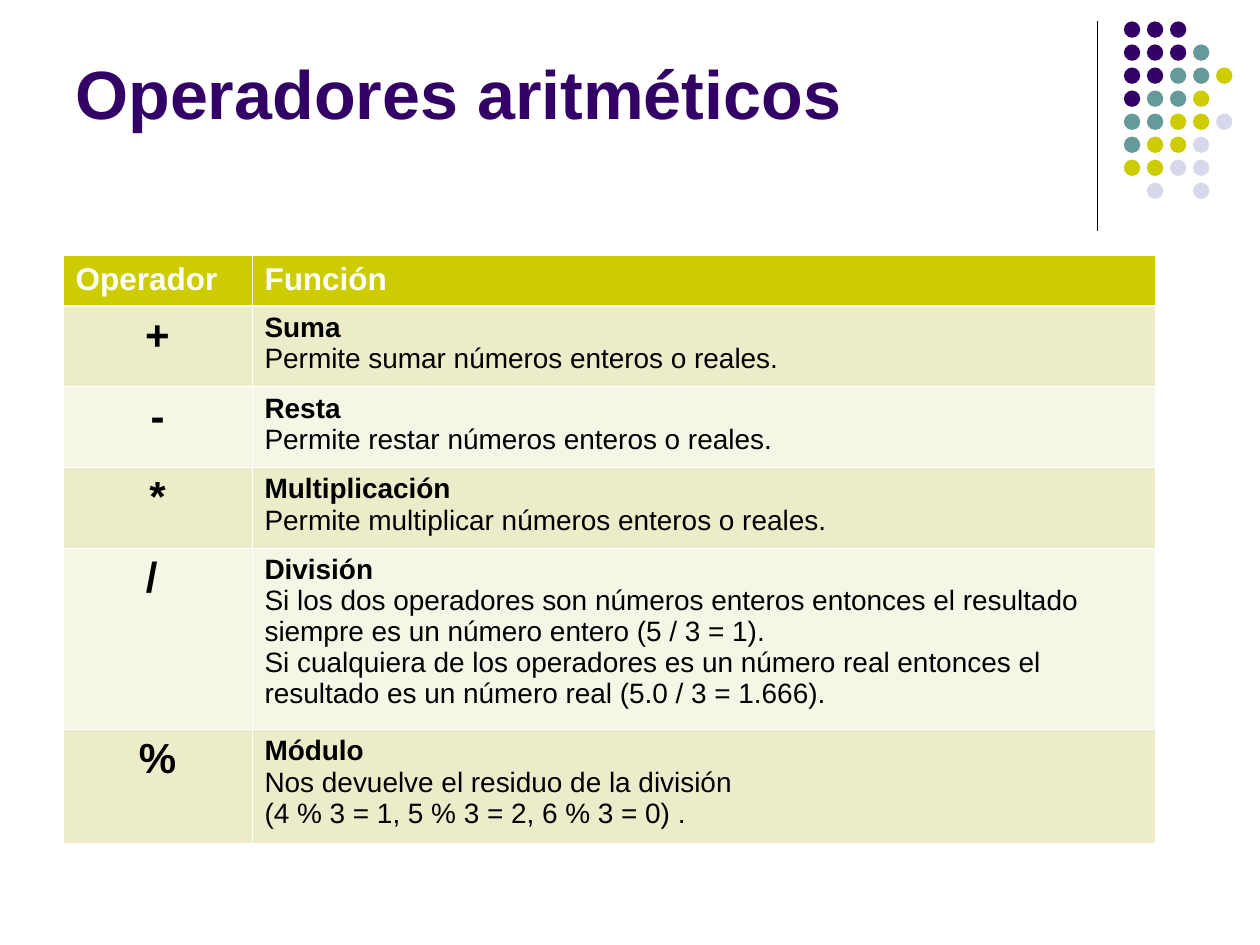
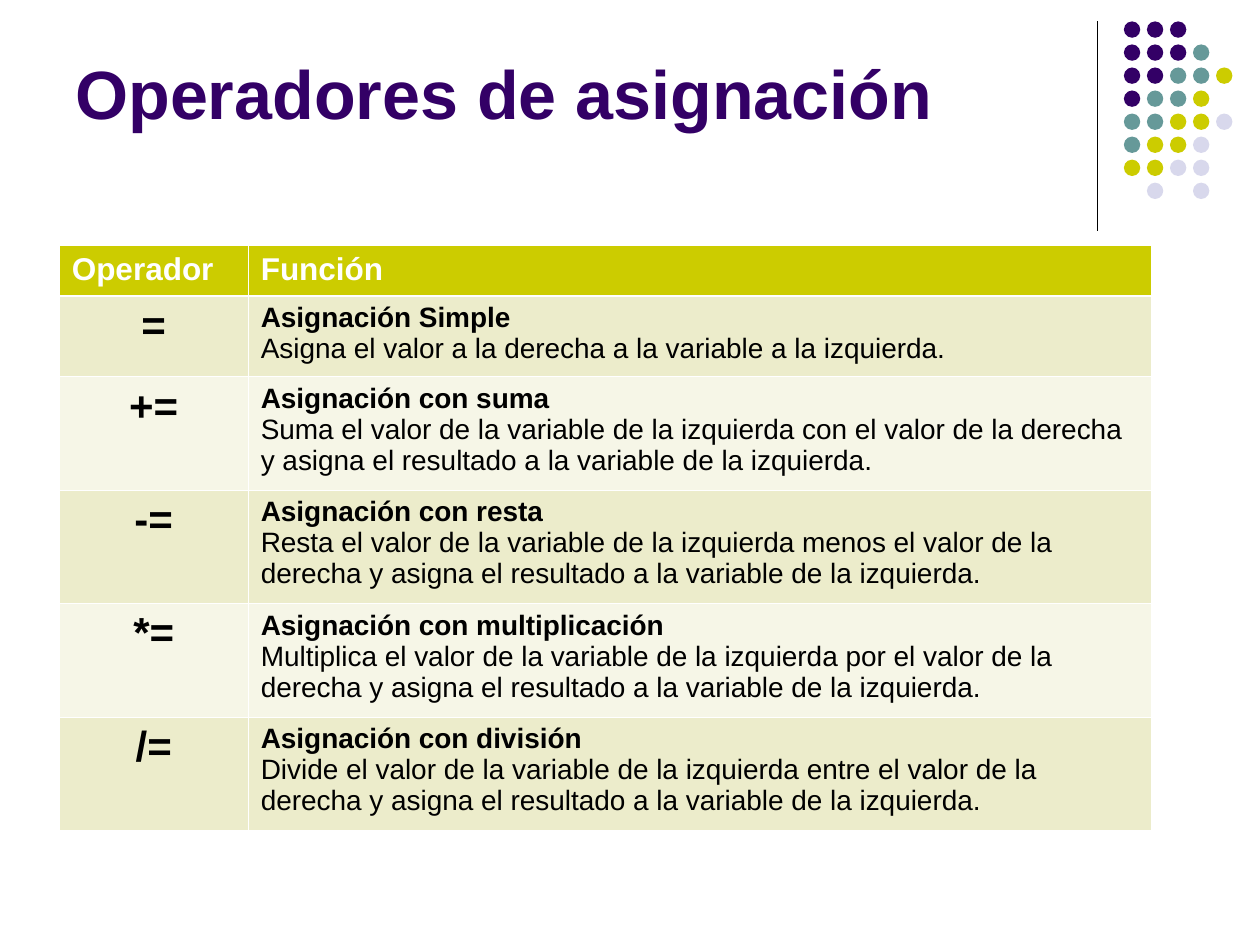
from dataclasses import dataclass

from lxml import etree
from pptx import Presentation
from pptx import util as u
from pptx.dml.color import RGBColor
from pptx.enum import shapes, text
from pptx.oxml import ns

COLORS = {
    "purple": "330066",
    "teal": "669999",
    "olive": "CCCC00",
    "lavender": "D8D8EC",
    "band_dark": "ECECCB",
    "band_light": "F6F6E7",
    "white": "FFFFFF",
    "black": "000000",
}
FONT = "Arial"

# One letter per dot, a full stop for a gap.
DOT_COLORS = {"p": "purple", "t": "teal", "o": "olive", "l": "lavender"}
DOT_ROWS = ["ppp..", "pppt.", "pptto", "ptto.", "ttool", "tool.", "ooll.", ".l.l."]
DOT_LEFT, DOT_TOP, DOT_SIZE = 8.92, 0.17, 0.13
DOT_PITCH = 1.28 / 7

HEADINGS = ("Operador", "Función")
COLUMN_WIDTHS = (1.5, 7.17)
HEADING_HEIGHT = 0.4
THIN, THICK = 0.45, 1.47


@dataclass(frozen=True)
class Operator:
    symbol: str
    name: str
    details: tuple[str, ...]
    height: float = 0.9


@dataclass(frozen=True)
class OperatorSlide:
    title: str
    table_left: float
    table_top: float
    operators: tuple[Operator, ...]


SLIDES = (
    OperatorSlide("Operadores aritméticos", 0.5, 2.03, (
        Operator("+", "Suma", ("Permite sumar números enteros o reales.",), 0.64),
        Operator("-", "Resta", ("Permite restar números enteros o reales.",), 0.64),
        Operator("*", "Multiplicación",
                 ("Permite multiplicar números enteros o reales.",), 0.64),
        Operator("/ ", "División", (
            "Si los dos operadores son números enteros entonces el resultado "
            "siempre es un número entero (5 / 3 = 1).",
            "Si cualquiera de los operadores es un número real entonces el "
            "resultado es un número real (5.0 / 3 = 1.666).",
        ), 1.44),
        Operator("%", "Módulo", (
            "Nos devuelve el residuo de la división",
            "(4 % 3 = 1, 5 % 3 = 2, 6 % 3 = 0) .",
        )),
    )),
    OperatorSlide("Operadores de asignación", 0.47, 1.95, (
        Operator("=", "Asignación Simple",
                 ("Asigna el valor a la derecha a la variable a la izquierda.",), 0.64),
        Operator("+=", "Asignación con suma", (
            "Suma el valor de la variable de la izquierda con el valor de la derecha "
            "y asigna el resultado a la variable de la izquierda.",)),
        Operator("-=", "Asignación con resta", (
            "Resta el valor de la variable de la izquierda menos el valor de la "
            "derecha y asigna el resultado a la variable de la izquierda.",)),
        Operator("*=", "Asignación con multiplicación", (
            "Multiplica el valor de la variable de la izquierda por el valor de la "
            "derecha y asigna el resultado a la variable de la izquierda.",)),
        Operator("/=", "Asignación con división", (
            "Divide el valor de la variable de la izquierda entre el valor de la "
            "derecha y asigna el resultado a la variable de la izquierda.",)),
    )),
)


def rgb(color: str) -> RGBColor:
    return RGBColor.from_string(COLORS[color])


def format_runs(paragraph, size: float, color: str, bold: bool = True) -> None:
    for run in paragraph.runs:
        run.font.name = FONT
        run.font.size = u.Pt(size)
        run.font.bold = bold
        run.font.color.rgb = rgb(color)


def add_divider(slide) -> None:
    x = u.Inches(8.71)
    divider = slide.shapes.add_connector(
        shapes.MSO_CONNECTOR.STRAIGHT, x, u.Inches(0.17), x, u.Inches(1.83))
    divider.line.color.rgb = rgb("black")
    divider.line.width = u.Pt(0.75)
    etree.SubElement(divider._element.spPr, ns.qn("a:effectLst"))


def add_dots(slide) -> None:
    dots = slide.shapes.add_group_shape()
    for row, letters in enumerate(DOT_ROWS):
        for column, letter in enumerate(letters):
            if letter == ".":
                continue
            dot = dots.shapes.add_shape(
                shapes.MSO_SHAPE.OVAL,
                u.Inches(DOT_LEFT + column * DOT_PITCH),
                u.Inches(DOT_TOP + row * DOT_PITCH),
                u.Inches(DOT_SIZE), u.Inches(DOT_SIZE))
            dot.shadow.inherit = False
            dot.fill.solid()
            dot.fill.fore_color.rgb = rgb(DOT_COLORS[letter])
            dot.line.fill.background()


def add_title(slide, title: str) -> None:
    frame = slide.shapes.add_textbox(
        u.Inches(0.5), u.Inches(0.3), u.Inches(8.17), u.Inches(1.25)).text_frame
    frame.word_wrap = True
    frame.margin_top = u.Inches(0.11)
    frame.text = title
    format_runs(frame.paragraphs[0], 39, "purple")


def style_cell(cell, fill: str, top: float = THIN, bottom: float = THIN) -> None:
    """Fill the cell and give it white borders, with widths in points."""
    cell.fill.solid()
    cell.fill.fore_color.rgb = rgb(fill)
    properties = cell._tc.get_or_add_tcPr()
    borders = {"lnL": THIN, "lnR": THIN, "lnT": top, "lnB": bottom}
    for position, (side, width) in enumerate(borders.items()):
        border = etree.Element(ns.qn(f"a:{side}"), w=str(u.Pt(width)))
        solid = etree.SubElement(border, ns.qn("a:solidFill"))
        etree.SubElement(solid, ns.qn("a:srgbClr"), val=COLORS["white"])
        properties.insert(position, border)


def fill_operator_row(symbol_cell, function_cell, operator: Operator) -> None:
    symbol_cell.text_frame.text = operator.symbol
    symbol = symbol_cell.text_frame.paragraphs[0]
    symbol.alignment = text.PP_ALIGN.CENTER
    format_runs(symbol, 24, "black")

    function_cell.text_frame.text = "\n".join((operator.name, *operator.details))
    for index, paragraph in enumerate(function_cell.text_frame.paragraphs):
        format_runs(paragraph, 16, "black", bold=index == 0)


def add_operator_table(slide, content: OperatorSlide) -> None:
    heights = [HEADING_HEIGHT, *(operator.height for operator in content.operators)]
    table = slide.shapes.add_table(
        len(heights), len(HEADINGS),
        u.Inches(content.table_left), u.Inches(content.table_top),
        u.Inches(sum(COLUMN_WIDTHS)), u.Inches(sum(heights))).table
    for column, width in zip(table.columns, COLUMN_WIDTHS):
        column.width = u.Inches(width)
    for row, height in zip(table.rows, heights):
        row.height = u.Inches(height)

    for cell, heading in zip(table.rows[0].cells, HEADINGS):
        cell.text_frame.text = heading
        format_runs(cell.text_frame.paragraphs[0], 18, "white")
        style_cell(cell, "olive", bottom=THICK)

    for index, operator in enumerate(content.operators, start=1):
        fill_operator_row(table.cell(index, 0), table.cell(index, 1), operator)
        for cell in table.rows[index].cells:
            style_cell(cell, "band_dark" if index % 2 else "band_light",
                       top=THICK if index == 1 else THIN)


def main() -> None:
    deck = Presentation()
    deck.slide_width, deck.slide_height = u.Inches(10), u.Inches(7.5)
    for content in SLIDES:
        slide = deck.slides.add_slide(deck.slide_layouts[6])
        slide.background.fill.solid()
        slide.background.fill.fore_color.rgb = rgb("white")
        add_divider(slide)
        add_dots(slide)
        add_title(slide, content.title)
        add_operator_table(slide, content)
    deck.save("out.pptx")


if __name__ == "__main__":
    main()
